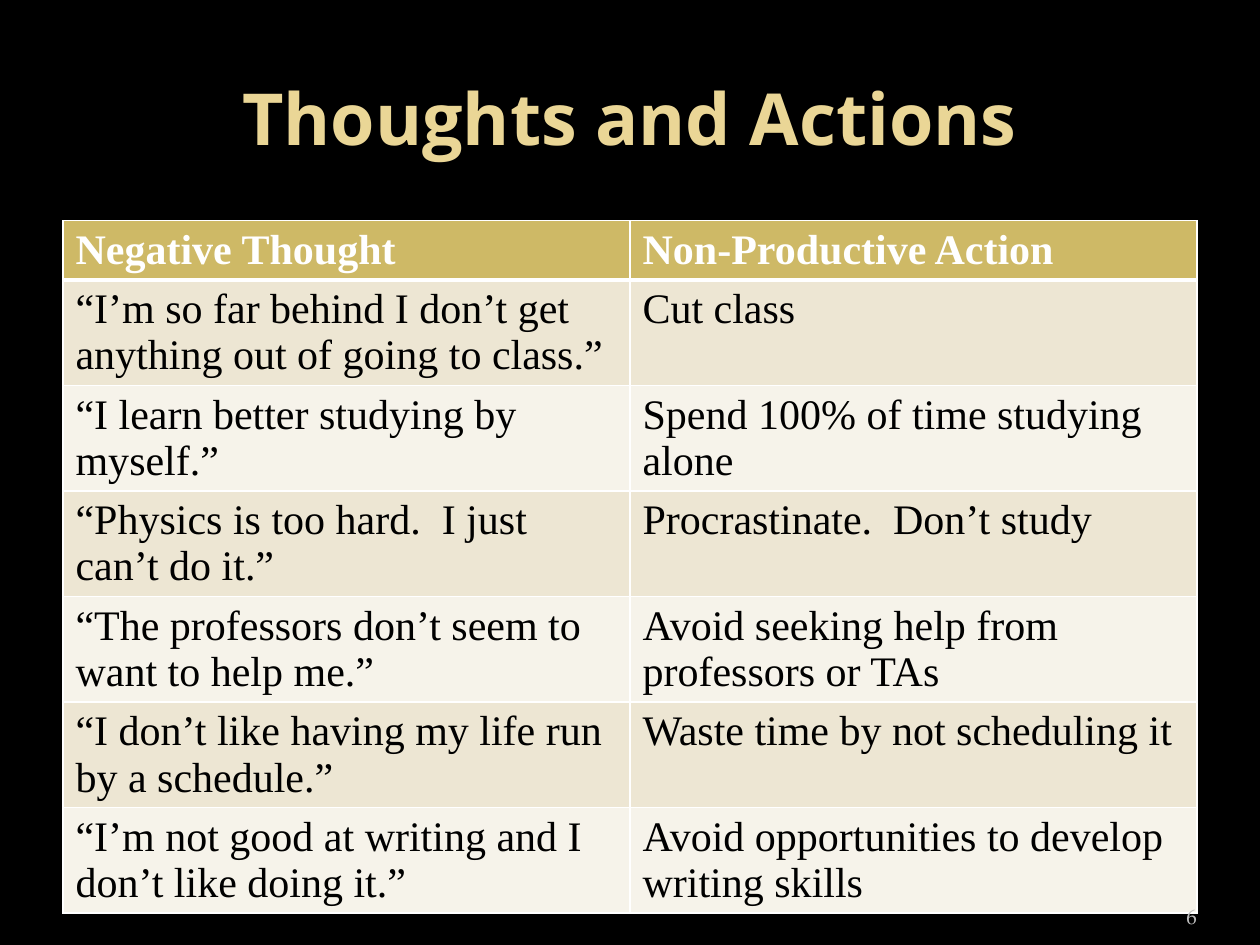
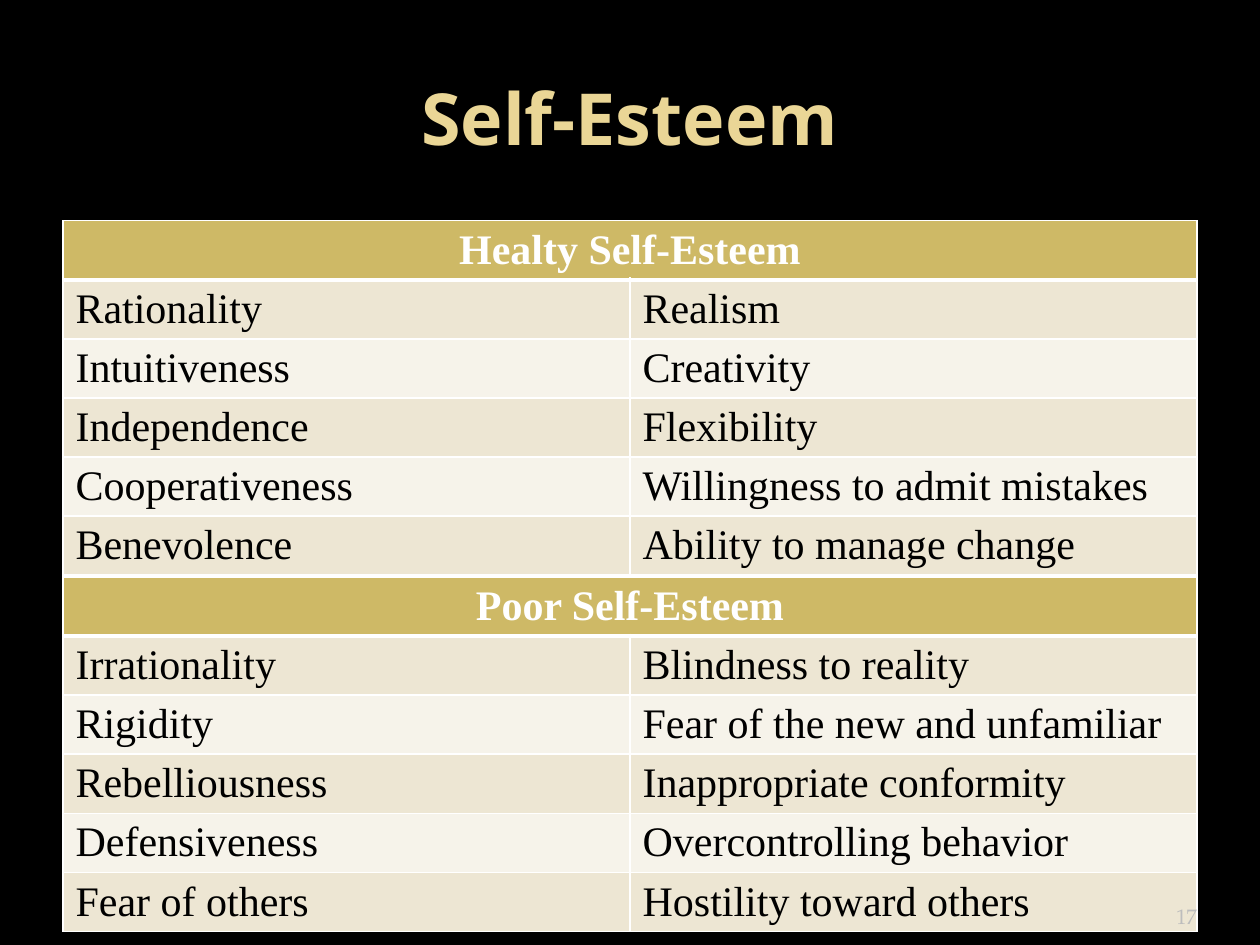
from lxml.etree import SubElement
from pptx import Presentation
from pptx.dml.color import RGBColor
from pptx.enum.text import MSO_ANCHOR, MSO_AUTO_SIZE, PP_ALIGN
from pptx.oxml.ns import qn
from pptx.util import Cm, Pt

COLORS = {
    "background": "000000",
    "title": "EAD696",
    "header": "CEB966",
    "band_dark": "EDE6D3",
    "band_light": "F6F3EA",
    "header_text": "FFFFFF",
    "body_text": "000000",
    "border": "FFFFFF",
    "page_number": "BDBDBD",
}
LEFT, CONTENT_WIDTH = Cm(1.27), Cm(22.86)
TABLE_TOP, SECOND_TABLE_TOP = Cm(4.45), Cm(11.63)
ROW_HEIGHT = Cm(1.04)
THIN, THICK = Pt(1), Pt(3)

THOUGHTS = [
    ("Negative Thought", "Non-Productive Action"),
    ("“I’m so far behind I don’t get anything out of going to class.”", "Cut class"),
    ("“I learn better studying by myself.”", "Spend 100% of time studying alone"),
    ("“Physics is too hard.  I just can’t do it.”", "Procrastinate.  Don’t study"),
    ("“The professors don’t seem to want to help me.”",
     "Avoid seeking help from professors or TAs"),
    ("“I don’t like having my life run by a schedule.”", "Waste time by not scheduling it"),
    ("“I’m not good at writing and I don’t like doing it.”",
     "Avoid opportunities to develop writing skills"),
]
HEALTHY = [
    ("Healty Self-Esteem",),
    ("Rationality", "Realism"),
    ("Intuitiveness", "Creativity"),
    ("Independence", "Flexibility"),
    ("Cooperativeness", "Willingness to admit mistakes"),
    ("Benevolence", "Ability to manage change"),
]
POOR = [
    ("Poor Self-Esteem",),
    ("Irrationality", "Blindness to reality"),
    ("Rigidity", "Fear of the new and unfamiliar"),
    ("Rebelliousness", "Inappropriate conformity"),
    ("Defensiveness", "Overcontrolling behavior"),
    ("Fear of others", "Hostility toward others"),
]


def rgb(name):
    return RGBColor.from_string(COLORS[name])


def write(frame, text, font_name, size, color, align, bold=False):
    paragraph = frame.paragraphs[0]
    paragraph.text = text
    paragraph.alignment = align
    font = paragraph.font
    font.name, font.size, font.bold = font_name, Pt(size), bold
    font.color.rgb = rgb(color)


def set_borders(cell, top, bottom):
    properties = cell._tc.get_or_add_tcPr()
    widths = {"a:lnL": THIN, "a:lnR": THIN, "a:lnT": top, "a:lnB": bottom}
    for position, (side, width) in enumerate(widths.items()):
        line = SubElement(properties, qn(side), w=str(width))
        fill = SubElement(line, qn("a:solidFill"))
        SubElement(fill, qn("a:srgbClr"), val=COLORS["border"])
        properties.insert(position, line)


def style_cell(cell, row):
    """Fill and rule a cell by its row: header first, then alternating bands."""
    band = "header" if row == 0 else "band_dark" if row % 2 else "band_light"
    cell.fill.solid()
    cell.fill.fore_color.rgb = rgb(band)
    set_borders(cell, THICK if row == 1 else THIN, THICK if row == 0 else THIN)


def add_banded_table(slide, top, rows):
    """Add a two-column table; a row with one entry spans both columns."""
    table = slide.shapes.add_table(
        len(rows), 2, LEFT, top, CONTENT_WIDTH, ROW_HEIGHT * len(rows)).table
    for row, entries in enumerate(rows):
        for column in range(2):
            style_cell(table.cell(row, column), row)
        spans = len(entries) == 1
        if spans:
            table.cell(row, 0).merge(table.cell(row, 1))
        for column, entry in enumerate(entries):
            write(table.cell(row, column).text_frame, entry, "Times New Roman", 24,
                  "body_text" if row else "header_text",
                  PP_ALIGN.CENTER if spans else PP_ALIGN.LEFT, bold=row == 0)


def add_titled_slide(prs, heading):
    slide = prs.slides.add_slide(prs.slide_layouts.get_by_name("Title Only"))
    title = slide.shapes.title
    title.left, title.top, title.width, title.height = LEFT, Cm(0.76), CONTENT_WIDTH, Cm(3.18)
    frame = title.text_frame
    frame.auto_size = MSO_AUTO_SIZE.NONE
    frame.vertical_anchor = MSO_ANCHOR.MIDDLE
    write(frame, heading, "Open Sans", 41, "title", PP_ALIGN.CENTER, bold=True)
    return slide


def add_page_number(slide, number):
    frame = slide.shapes.add_textbox(Cm(22.02), Cm(17.83), Cm(2.11), Cm(1.02)).text_frame
    frame.word_wrap = True
    frame.margin_left = frame.margin_right = 0
    frame.vertical_anchor = MSO_ANCHOR.BOTTOM
    write(frame, str(number), "TeX Gyre Pagella", 12, "page_number", PP_ALIGN.RIGHT)


def main():
    prs = Presentation()
    prs.slide_width, prs.slide_height = Cm(25.4), Cm(19.05)
    backdrop = prs.slide_master.background.fill
    backdrop.solid()
    backdrop.fore_color.rgb = rgb("background")

    thoughts = add_titled_slide(prs, "Thoughts and Actions")
    add_banded_table(thoughts, TABLE_TOP, THOUGHTS)
    add_page_number(thoughts, 6)

    esteem = add_titled_slide(prs, "Self-Esteem")
    add_banded_table(esteem, TABLE_TOP, HEALTHY)
    add_banded_table(esteem, SECOND_TABLE_TOP, POOR)
    add_page_number(esteem, 17)

    prs.save("out.pptx")


if __name__ == "__main__":
    main()
